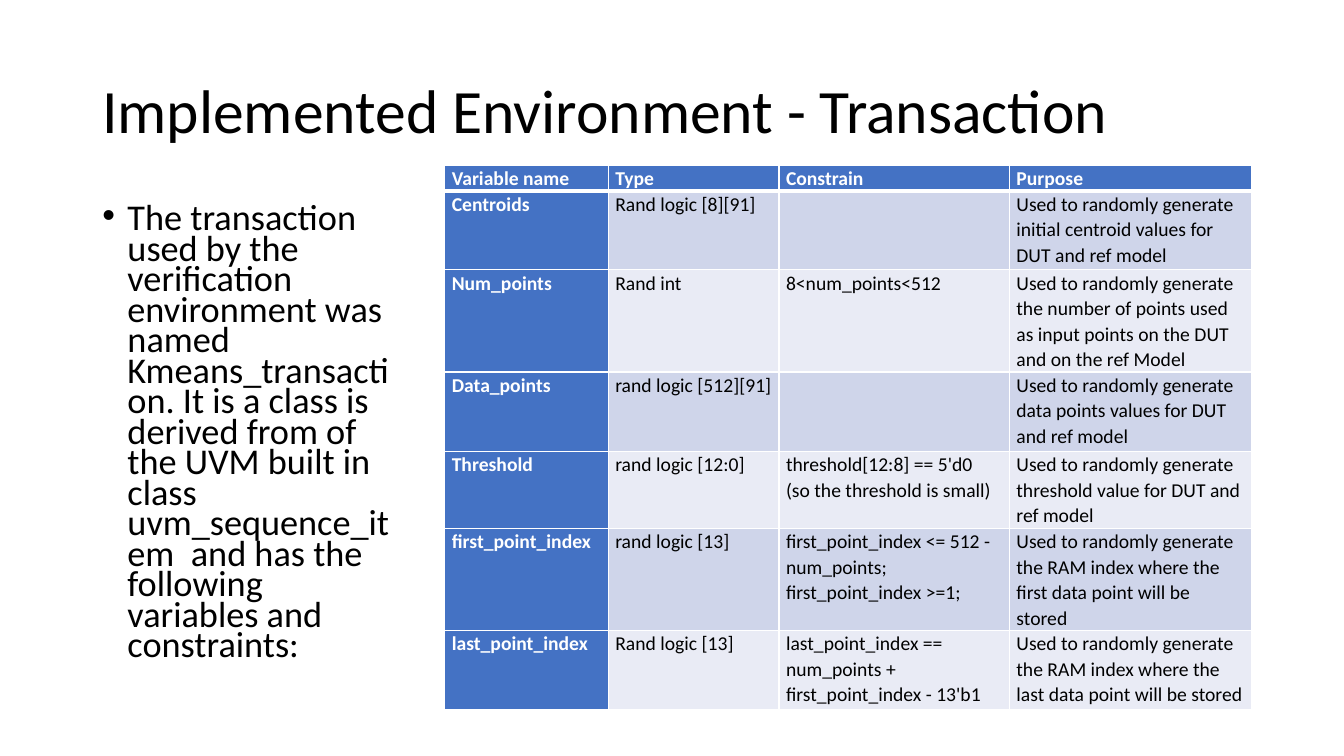
import pptx
import pptx.util
import pptx.dml.color
import pptx.enum.text
import pptx.oxml
import pptx.oxml.ns

Pt = pptx.util.Pt
COLORS = {"text": "000000", "header": "4472C4", "light": "FFFFFF",
          "odd": "CFD5EA", "even": "E9EBF5"}

HEADINGS = ["Variable name", "Type", "Constrain", "Purpose"]
VARIABLES = [
    ["Centroids", "Rand logic [8][91]", "",
     "Used to randomly generate initial centroid values for DUT and ref model"],
    ["Num_points", "Rand int", "8<num_points<512",
     "Used to randomly generate the number of points used as input points on the DUT and on the ref Model"],
    ["Data_points", "rand logic [512][91]", "",
     "Used to randomly generate data points values for DUT and ref model"],
    ["Threshold", "rand logic [12:0]",
     "threshold[12:8] == 5'd0\n(so the threshold is small)",
     "Used to randomly generate threshold value for DUT and ref model"],
    ["first_point_index", "rand logic [13]",
     "first_point_index <= 512 - num_points;\nfirst_point_index >=1;",
     "Used to randomly generate the RAM index where the first data point will be stored"],
    ["last_point_index", "Rand logic [13]",
     "last_point_index == num_points + first_point_index - 13'b1",
     "Used to randomly generate the RAM index where the last data point will be stored"],
]
COLUMN_WIDTHS = [116.8, 122, 164.6, 172.8]
ROW_HEIGHTS = [18, 56.5, 73, 56.5, 55, 73, 56.5]


class SlideBuilder:
    font = "Calibri"

    def __init__(self, page):
        self.page = page

    def rgb(self, color):
        return pptx.dml.color.RGBColor.from_string(COLORS[color])

    def style(self, para, size, color="text", bold=False, spacing=1.0):
        para.font.name = self.font
        para.font.size = Pt(size)
        para.font.bold = bold
        para.font.color.rgb = self.rgb(color)
        para.line_spacing = spacing

    def text(self, left, top, width, height, words, size, spacing, anchor):
        box = self.page.shapes.add_textbox(Pt(left), Pt(top), Pt(width), Pt(height))
        frame = box.text_frame
        frame.word_wrap = True
        frame.vertical_anchor = anchor
        frame.text = words
        para = frame.paragraphs[0]
        self.style(para, size, spacing=spacing)
        return para

    def bullet(self, para, indent, space_before):
        para.space_before = Pt(space_before)
        properties = para._p.get_or_add_pPr()
        properties.set("marL", str(Pt(indent)))
        properties.set("indent", str(-Pt(indent)))
        namespace = pptx.oxml.ns.nsdecls("a")
        marks = [f'<a:buFont {namespace} typeface="Arial"/>',
                 f'<a:buChar {namespace} char="•"/>']
        defaults = properties.find(pptx.oxml.ns.qn("a:defRPr"))
        for mark in marks:
            element = pptx.oxml.parse_xml(mark)
            if defaults is None:
                properties.append(element)
            else:
                defaults.addprevious(element)

    def borders(self, cell, widths):
        properties = cell._tc.get_or_add_tcPr()
        for position, (side, width) in enumerate(widths.items()):
            properties.insert(position, pptx.oxml.parse_xml(
                f'<a:ln{side} {pptx.oxml.ns.nsdecls("a")} w="{Pt(width)}"><a:solidFill>'
                f'<a:srgbClr val="{COLORS["light"]}"/></a:solidFill></a:ln{side}>'))

    def cell(self, cell, words, fill, heading, widths):
        cell.fill.solid()
        cell.fill.fore_color.rgb = self.rgb(fill)
        cell.margin_left = cell.margin_right = Pt(5)
        cell.margin_top = cell.margin_bottom = 0
        cell.text = words
        for para in cell.text_frame.paragraphs:
            self.style(para, 14, "light" if heading else "text", heading, 1.07)
        self.borders(cell, widths)

    def table(self, left, top, column_widths, row_heights, rows):
        table = self.page.shapes.add_table(
            len(rows), len(column_widths), Pt(left), Pt(top),
            Pt(sum(column_widths)), Pt(sum(row_heights))).table
        for column, width in zip(table.columns, column_widths):
            column.width = Pt(width)
        for row, height in zip(table.rows, row_heights):
            row.height = Pt(height)
        for row_index, row in enumerate(rows):
            band = "odd" if row_index % 2 else "even"
            widths = {"L": 1, "R": 1, "T": 3 if row_index == 1 else 1,
                      "B": 3 if row_index == 0 else 1}
            for column_index, words in enumerate(row):
                heading = row_index == 0 or column_index == 0
                self.cell(table.cell(row_index, column_index), words,
                          "header" if heading else band, heading, widths)


deck = pptx.Presentation()
deck.slide_width, deck.slide_height = Pt(960), Pt(540)
builder = SlideBuilder(deck.slides.add_slide(deck.slide_layouts[6]))
anchors = pptx.enum.text.MSO_ANCHOR

builder.text(66, 28.75, 828, 104.4, "Implemented Environment - Transaction",
             44, 0.9, anchors.MIDDLE)
description = builder.text(
    66, 144, 227.5, 342.7,
    "The transaction used by the verification environment was named "
    "Kmeans_transaction. It is a class is derived from of the UVM built in class "
    "uvm_sequence_item  and has the following variables and constraints:",
    25.9, 0.7, anchors.TOP)
builder.bullet(description, 18, 10)
builder.table(317.7, 118.3, COLUMN_WIDTHS, ROW_HEIGHTS, [HEADINGS] + VARIABLES)

deck.save("out.pptx")
